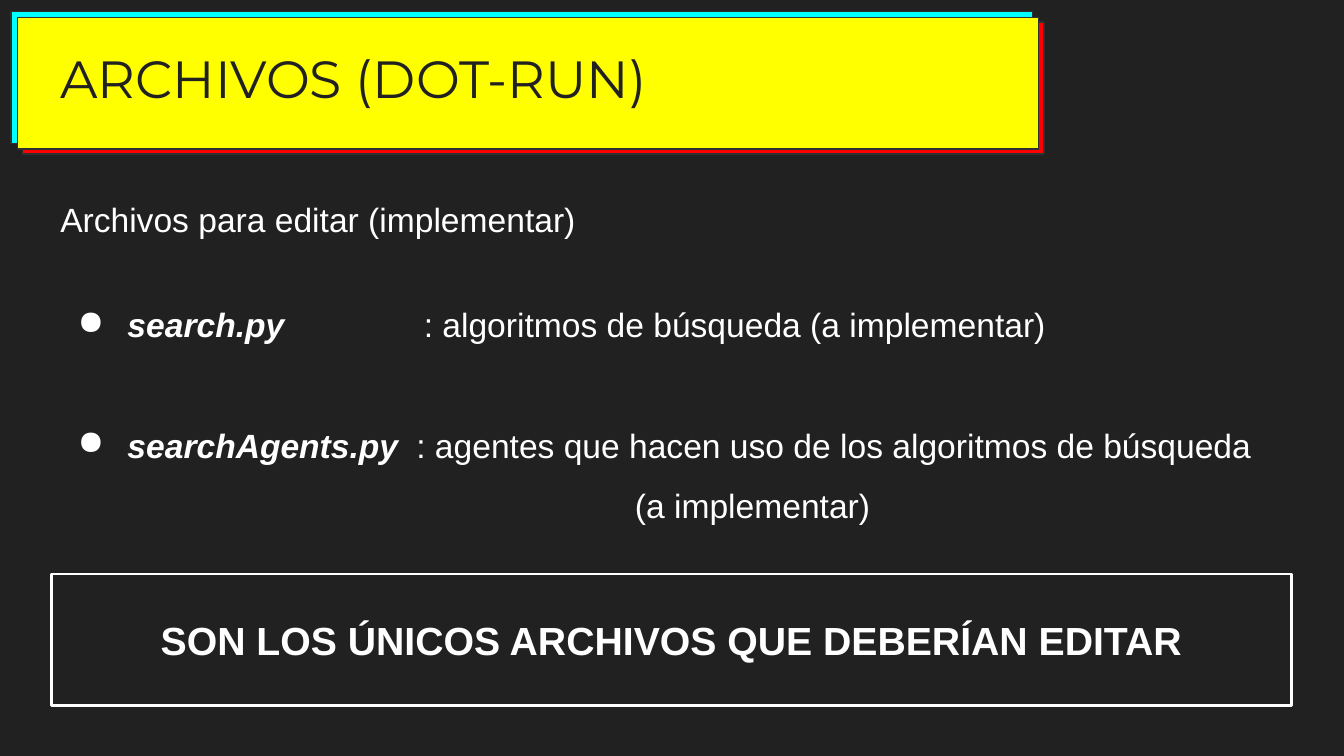
from dataclasses import dataclass

from lxml.etree import SubElement
from pptx import Presentation
from pptx.dml.color import RGBColor
from pptx.enum.shapes import MSO_SHAPE as Shape
from pptx.enum.text import MSO_ANCHOR as Anchor, PP_ALIGN as Align
from pptx.oxml.ns import qn
from pptx.util import Cm, Pt


@dataclass(frozen=True)
class Theme:
    dark: RGBColor = RGBColor.from_string("212121")
    edge: RGBColor = RGBColor.from_string("303030")
    white: RGBColor = RGBColor.from_string("FFFFFF")
    red: RGBColor = RGBColor.from_string("FF0000")
    cyan: RGBColor = RGBColor.from_string("00FFFF")
    yellow: RGBColor = RGBColor.from_string("FFFF00")
    title_font: str = "Montserrat"
    body_font: str = "Arial"
    title_size: Pt = Pt(28)
    body_size: Pt = Pt(18)
    notice_size: Pt = Pt(21)


THEME = Theme()
INSET = Cm(0.25)


def set_font(paragraph, name, size, color, bold=None):
    font = paragraph.font
    font.name, font.size, font.bold = name, size, bold
    font.color.rgb = color


def prepare_frame(shape, anchor=Anchor.TOP):
    frame = shape.text_frame
    frame.word_wrap = True
    frame.vertical_anchor = anchor
    frame.margin_left = frame.margin_right = INSET
    frame.margin_top = frame.margin_bottom = INSET
    return frame


def add_rectangle(slide, box, fill, line, line_width):
    shape = slide.shapes.add_shape(Shape.RECTANGLE, *box)
    shape.shadow.inherit = False
    if fill is None:
        shape.fill.background()
    else:
        shape.fill.solid()
        shape.fill.fore_color.rgb = fill
    shape.line.color.rgb = line
    shape.line.width = line_width
    return shape


def add_bullet(paragraph, tab_stops):
    properties = paragraph._p.get_or_add_pPr()
    properties.set("marL", str(Cm(1.27)))
    properties.set("indent", str(-Cm(0.94)))
    color = SubElement(properties, qn("a:buClr"))
    SubElement(color, qn("a:srgbClr"), val=str(THEME.white))
    SubElement(properties, qn("a:buChar"), char="●")
    tabs = SubElement(properties, qn("a:tabLst"))
    for stop in tab_stops:
        SubElement(tabs, qn("a:tab"), pos=str(stop), algn="l")


def add_banner(slide, left, top, width, height, text):
    # Three offset plates, the yellow one in front
    for offset, fill in ((0.1, THEME.red), (-0.12, THEME.cyan), (0, THEME.yellow)):
        box = (left + Cm(offset), top + Cm(offset * 0.9), width, height)
        add_rectangle(slide, box, fill, THEME.edge, Pt(0.75))

    # Title
    title = slide.shapes.add_textbox(left + Cm(0.56), top + Cm(0.43), Cm(18.49), Cm(1.6))
    paragraph = prepare_frame(title).paragraphs[0]
    paragraph.text = text
    paragraph.line_spacing = 0.9
    set_font(paragraph, THEME.title_font, THEME.title_size, THEME.dark)


def add_file_list(slide, left, top, width, height, heading, files):
    frame = prepare_frame(slide.shapes.add_textbox(left, top, width, height))

    # Heading
    paragraph = frame.paragraphs[0]
    paragraph.text = heading
    paragraph.line_spacing = 1.15
    set_font(paragraph, THEME.body_font, THEME.body_size, THEME.white)

    # One bullet per file: name, then its description at a tab stop
    for name, description, tab_stops, gap in files:
        paragraph = frame.add_paragraph()
        paragraph.line_spacing = 1.5
        paragraph.space_before = gap
        add_bullet(paragraph, tab_stops)
        set_font(paragraph, THEME.body_font, THEME.body_size, THEME.white)
        run = paragraph.add_run()
        run.text = name
        run.font.bold = run.font.italic = True
        for index, line in enumerate(description):
            if index:
                paragraph.add_line_break()
            paragraph.add_run().text = "\t" + line


def add_notice(slide, left, top, width, height, text):
    shape = add_rectangle(slide, (left, top, width, height), None, THEME.white, Pt(1.5))
    paragraph = prepare_frame(shape, Anchor.MIDDLE).paragraphs[0]
    paragraph.text = text
    paragraph.alignment = Align.CENTER
    set_font(paragraph, THEME.body_font, THEME.notice_size, THEME.white, bold=True)


def main():
    presentation = Presentation()
    presentation.slide_width, presentation.slide_height = Cm(25.4), Cm(14.29)
    slide = presentation.slides.add_slide(presentation.slide_layouts[6])
    slide.background.fill.solid()
    slide.background.fill.fore_color.rgb = THEME.dark

    add_banner(slide, Cm(0.33), Cm(0.33), Cm(19.3), Cm(2.49), "ARCHIVOS (DOT-RUN)")
    files = [
        ("search.py", [": algoritmos de búsqueda (a implementar)"],
         [Cm(6.87)], Pt(24)),
        ("searchAgents.py",
         [": agentes que hacen uso de los algoritmos de búsqueda", "\t(a implementar)"],
         [Cm(6.73), Cm(10.86)], Pt(32)),
    ]
    add_file_list(slide, Cm(0.89), Cm(3.4), Cm(23.44), Cm(7.11),
                  "Archivos para editar (implementar)", files)
    add_notice(slide, Cm(0.97), Cm(10.85), Cm(23.44), Cm(2.49),
               "SON LOS ÚNICOS ARCHIVOS QUE DEBERÍAN EDITAR")
    presentation.save("out.pptx")


if __name__ == "__main__":
    main()
